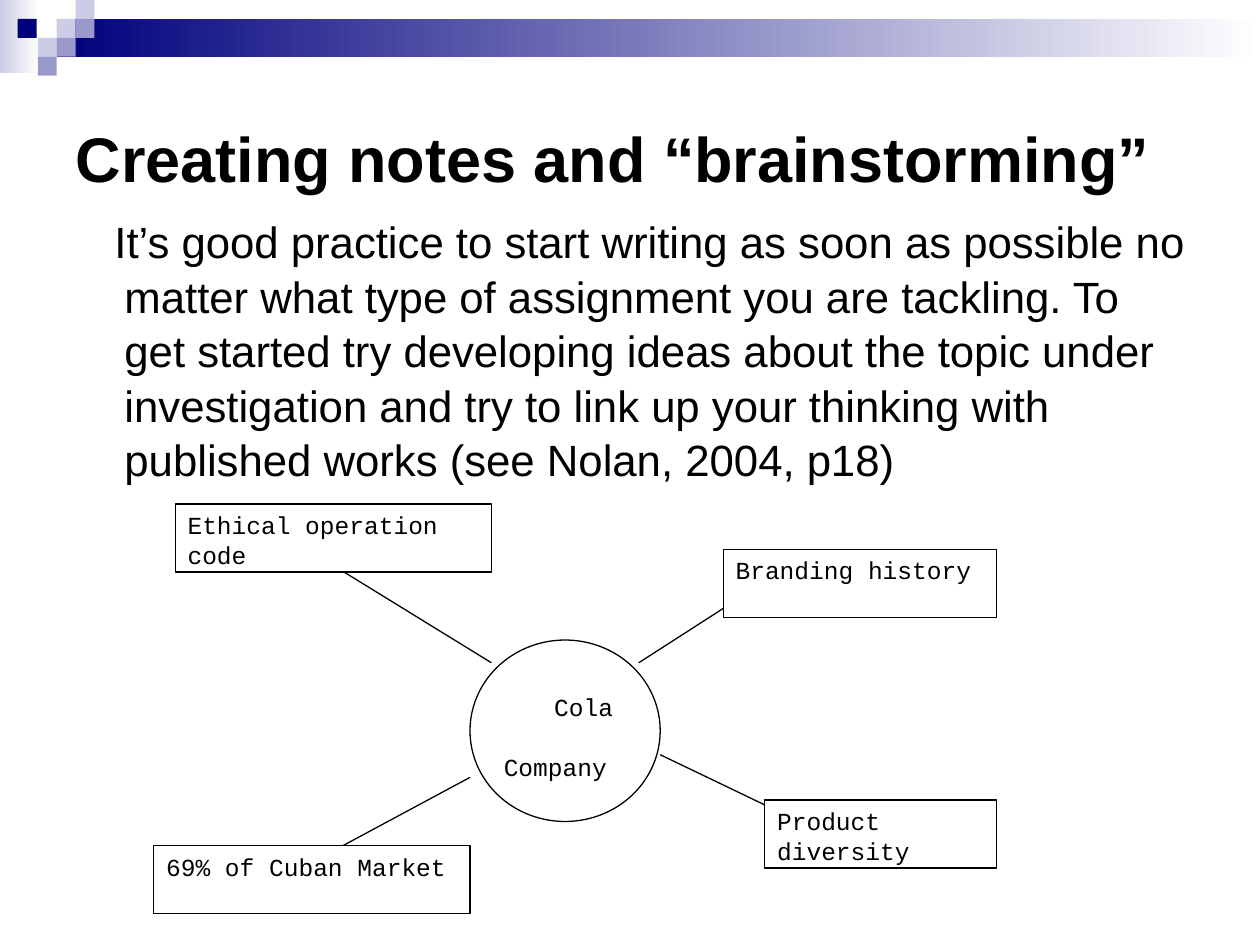
from typing import NamedTuple

from lxml.etree import SubElement
from pptx import Presentation
from pptx.dml.color import RGBColor
from pptx.enum.shapes import MSO_CONNECTOR, MSO_SHAPE
from pptx.enum.text import MSO_ANCHOR, PP_ALIGN
from pptx.oxml.ns import qn
from pptx.util import Emu, Pt

EMU_PER_PX = 9144  # 100 px to the inch
BLACK, WHITE = "000000", "FFFFFF"
NAVY, LAVENDER, PERIWINKLE = "00007D", "CCCCE6", "9999CC"
TILE = 15


class Box(NamedTuple):
    left: int
    top: int
    width: int
    height: int


class Idea(NamedTuple):
    text: str
    box: Box


class Link(NamedTuple):
    x1: int
    y1: int
    x2: int
    y2: int


class Tile(NamedTuple):
    left: int
    top: int
    color: str


TILES = [
    Tile(45, 15, LAVENDER), Tile(60, 0, LAVENDER), Tile(60, 15, PERIWINKLE),
    Tile(30, 30, LAVENDER), Tile(14, 15, NAVY), Tile(45, 30, PERIWINKLE),
    Tile(30, 45, PERIWINKLE),
]
LINKS = [
    Link(507, 526, 591, 472), Link(524, 599, 674, 671),
    Link(390, 526, 273, 454), Link(373, 617, 239, 689),
]
IDEAS = [
    Idea("Branding history", Box(574, 436, 217, 54)),
    Idea("Product diversity", Box(607, 635, 184, 54)),
    Idea("Ethical operation code", Box(139, 400, 251, 54)),
    Idea("69% of Cuban Market", Box(122, 671, 251, 54)),
]
TITLE = "Creating notes and “brainstorming”"
ADVICE = (
    "It’s good practice to start writing as soon as possible no matter what "
    "type of assignment you are tackling. To get started try developing ideas "
    "about the topic under investigation and try to link up your thinking with "
    "published works (see Nolan, 2004, p18)"
)


def px(length: int) -> Emu:
    return Emu(length * EMU_PER_PX)


def rgb(color: str) -> RGBColor:
    return RGBColor.from_string(color)


def place(box: Box) -> tuple[Emu, ...]:
    return tuple(px(length) for length in box)


def set_font(paragraph, name: str, size: int, bold: bool = False) -> None:
    font = paragraph.font
    font.name, font.size, font.bold = name, Pt(size), bold
    font.color.rgb = rgb(BLACK)


def add_plain_shape(slide, kind, box: Box, line: str | None = None):
    """Add a shape without shadow; without a line colour it has no outline."""
    shape = slide.shapes.add_shape(kind, *place(box))
    shape.shadow.inherit = False
    if line:
        shape.line.color.rgb = rgb(line)
        shape.line.width = Pt(0.75)
    else:
        shape.line.fill.background()
    return shape


def add_filled(slide, kind, box: Box, fill: str, line: str | None = None):
    shape = add_plain_shape(slide, kind, box, line)
    shape.fill.solid()
    shape.fill.fore_color.rgb = rgb(fill)
    return shape


def add_fade(slide, box: Box, color: str) -> None:
    """Add a rectangle that fades to white from left to right."""
    fill = add_plain_shape(slide, MSO_SHAPE.RECTANGLE, box).fill
    fill.gradient()
    fill.gradient_angle = 0
    for stop, stop_color in zip(fill.gradient_stops, (color, WHITE)):
        stop.color.rgb = rgb(stop_color)


def add_link(slide, link: Link) -> None:
    connector = slide.shapes.add_connector(
        MSO_CONNECTOR.STRAIGHT, *(px(length) for length in link))
    connector.line.color.rgb = rgb(BLACK)
    connector.line.width = Pt(0.75)
    SubElement(connector._element.spPr, qn("a:effectLst"))


def add_label(slide, box: Box, lines: list[str], line_color: str):
    """Add a white rectangle with one typewriter paragraph for each line."""
    shape = add_filled(slide, MSO_SHAPE.RECTANGLE, box, WHITE, line_color)
    frame = shape.text_frame
    frame.text = "\n".join(lines)
    frame.word_wrap = True
    frame.vertical_anchor = MSO_ANCHOR.TOP
    for paragraph in frame.paragraphs:
        paragraph.alignment = PP_ALIGN.LEFT
        set_font(paragraph, "Courier New", 14)
    return shape


def set_indent(paragraph, left: int, first: int) -> None:
    properties = paragraph._p.get_or_add_pPr()
    properties.set("marL", str(px(left)))
    properties.set("indent", str(px(first)))


def add_header(slide) -> None:
    add_fade(slide, Box(0, 0, 31, 58), LAVENDER)
    add_fade(slide, Box(45, 15, 955, 30), NAVY)
    for tile in TILES:
        box = Box(tile.left, tile.top, TILE, TILE)
        add_filled(slide, MSO_SHAPE.RECTANGLE, box, tile.color)


def add_title(slide) -> None:
    title = slide.shapes.title
    title.left, title.top, title.width, title.height = place(Box(50, 50, 900, 150))
    title.text_frame.text = TITLE
    title.text_frame.vertical_anchor = MSO_ANCHOR.MIDDLE
    paragraph = title.text_frame.paragraphs[0]
    paragraph.alignment = PP_ALIGN.LEFT
    set_font(paragraph, "Arial", 36, bold=True)


def add_advice(slide) -> None:
    frame = slide.shapes.add_textbox(*place(Box(51, 164, 900, 225))).text_frame
    frame.word_wrap = True
    frame.text = ADVICE
    paragraph = frame.paragraphs[0]
    paragraph.line_spacing = 1.04
    set_indent(paragraph, 38, -8)
    set_font(paragraph, "Arial", 25)


def add_mind_map(slide) -> None:
    add_filled(slide, MSO_SHAPE.OVAL, Box(373, 508, 151, 144), WHITE, BLACK)
    for link in LINKS:
        add_link(slide, link)
    topic = add_label(slide, Box(390, 544, 117, 72), ["Cola", "Company"], WHITE)
    first, second = topic.text_frame.paragraphs
    set_indent(first, 40, 0)
    second.space_before = Pt(17.5)
    for idea in IDEAS:
        add_label(slide, idea.box, [idea.text], BLACK)


def main() -> None:
    presentation = Presentation()
    presentation.slide_width, presentation.slide_height = px(1000), px(750)
    slide = presentation.slides.add_slide(presentation.slide_layouts[5])
    add_header(slide)
    add_title(slide)
    add_advice(slide)
    add_mind_map(slide)
    presentation.save("out.pptx")


if __name__ == "__main__":
    main()
